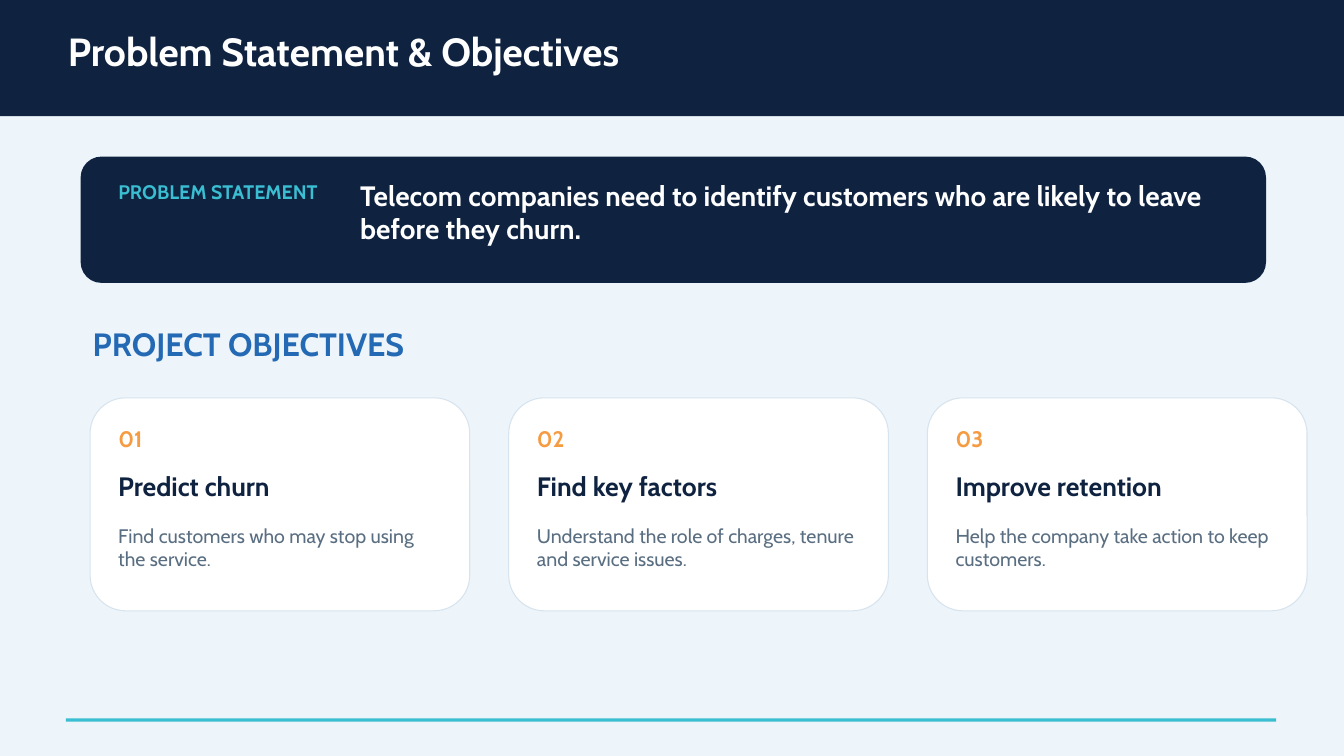
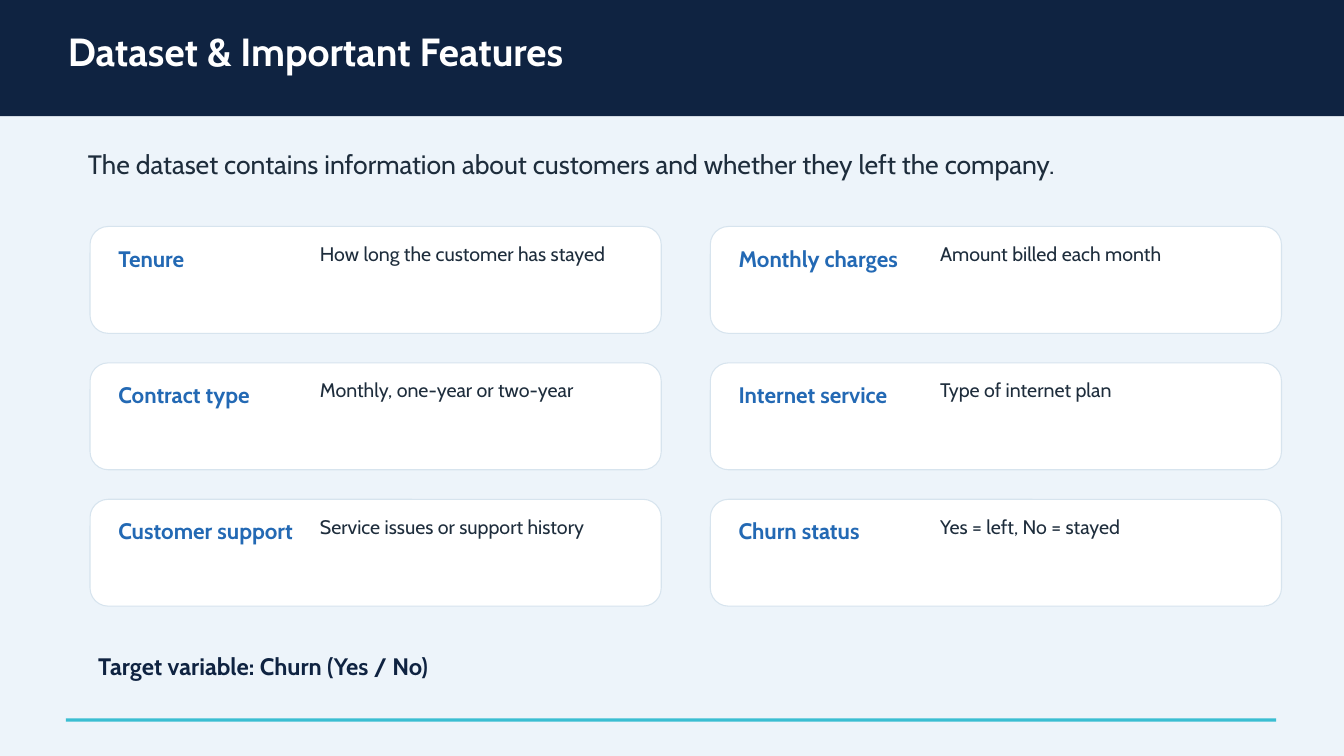
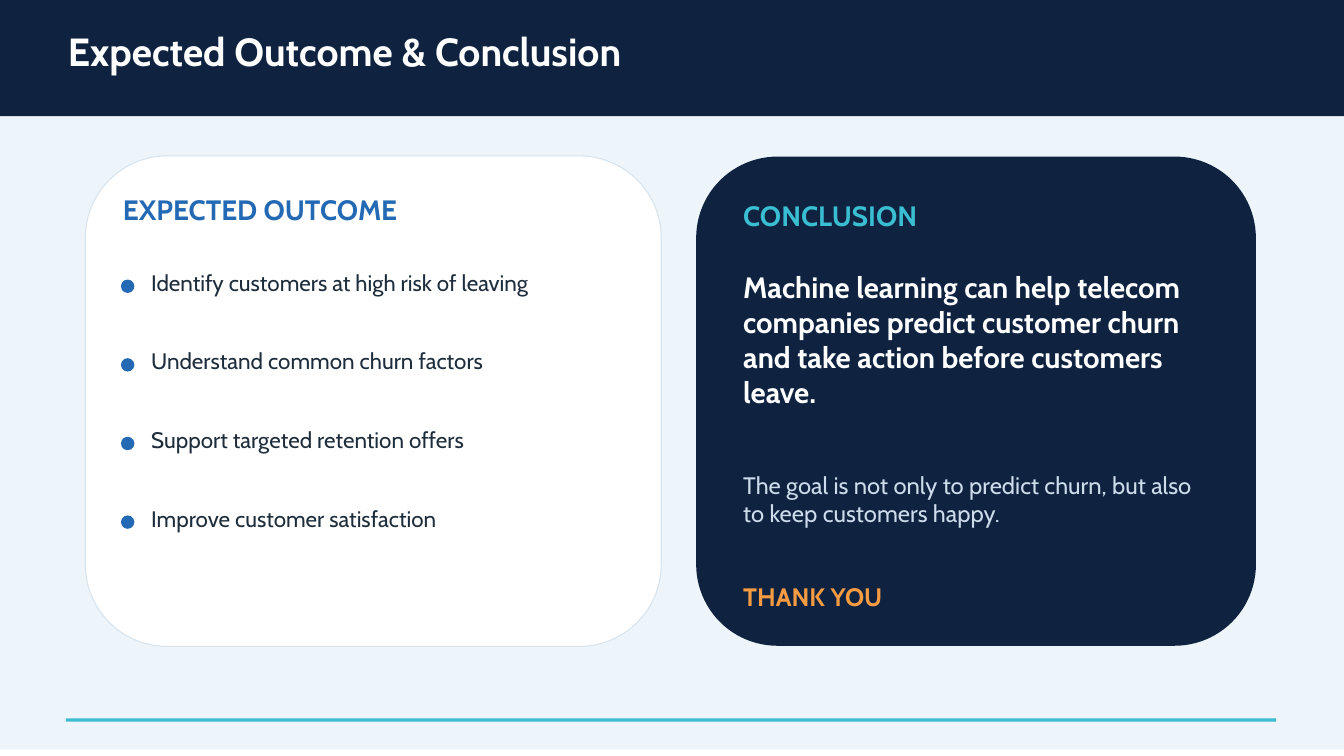
"""Build three slides on predicting customer churn."""
from dataclasses import dataclass

from pptx import Presentation
from pptx.dml.color import RGBColor
from pptx.enum.shapes import MSO_SHAPE as Shape
from pptx.enum.text import MSO_AUTO_SIZE as AutoSize
from pptx.util import Pt

EMU_PER_PX = 9144
WIDTH, HEIGHT = 2000, 1125


@dataclass(frozen=True)
class Theme:
    """Colours, type sizes and font of the deck."""
    font: str = "Cabin"
    canvas: str = "EDF4FA"
    navy: str = "0F2341"
    teal: str = "3ABED2"
    blue: str = "2369B4"
    orange: str = "F59B41"
    white: str = "FFFFFF"
    border: str = "D7E4EE"
    ink: str = "1E2D3C"
    slate: str = "5A6E82"
    mist: str = "CDDCEB"
    title: float = 42
    section: float = 34.5
    quote: float = 31.5
    heading: float = 30
    lead: float = 28.5
    closing: float = 27
    note: float = 25.5
    label: float = 24
    body: float = 21
    leading: float = 1.2
    border_width: float = 1.13


def px(length):
    """Turn px into EMU."""
    return length * EMU_PER_PX


def color(value):
    """Turn a hex string into a colour."""
    return RGBColor.from_string(value)


class Painter:
    """Hold the theme and the current slide, and draw elements on it."""

    def __init__(self, deck, theme):
        """Start with a deck and its theme."""
        self.deck = deck
        self.theme = theme
        self.slide = None

    def page(self, title, canvas_height=HEIGHT):
        """Add a slide with its canvas, title band and footer rule."""
        theme = self.theme
        self.slide = self.deck.slides.add_slide(self.deck.slide_layouts[6])
        self.shape(0, 0, WIDTH, canvas_height, fill=theme.canvas)
        self.shape(0, 0, WIDTH, 173, fill=theme.navy)
        self.text(title, 101, 40, 1735, 89, size=theme.title,
                  ink=theme.white, bold=True)
        self.shape(98, 1069, 1801, 5, fill=theme.teal)

    def shape(self, left, top, width, height, fill, kind=Shape.RECTANGLE,
              border=None):
        """Draw a filled preset shape, with a border if one is given."""
        box = self.slide.shapes.add_shape(
            kind, px(left), px(top), px(width), px(height))
        box.shadow.inherit = False
        box.fill.solid()
        box.fill.fore_color.rgb = color(fill)
        if border:
            box.line.color.rgb = color(border)
            box.line.width = Pt(self.theme.border_width)
        else:
            box.line.fill.background()
        return box

    def panel(self, left, top, width, height, radius, fill, border=None):
        """Draw a rounded panel with a corner radius in px."""
        box = self.shape(left, top, width, height, fill,
                         Shape.ROUNDED_RECTANGLE, border)
        box.adjustments[0] = radius / min(width, height)

    def card(self, left, top, width, height, radius):
        """Draw a white bordered panel."""
        self.panel(left, top, width, height, radius, self.theme.white,
                   self.theme.border)

    def text(self, words, left, top, width, height, *, size, ink, bold=False):
        """Write one paragraph in a box without margins."""
        box = self.slide.shapes.add_textbox(
            px(left), px(top), px(width), px(height))
        frame = box.text_frame
        frame.word_wrap = True
        frame.auto_size = AutoSize.SHAPE_TO_FIT_TEXT
        frame.margin_left = frame.margin_right = 0
        frame.margin_top = frame.margin_bottom = 0
        para = frame.paragraphs[0]
        para.line_spacing = Pt(size * self.theme.leading)
        span = para.add_run()
        span.text = words
        span.font.name = self.theme.font
        span.font.size = Pt(size)
        span.font.bold = bold
        span.font.color.rgb = color(ink)

    def bullet(self, words, left, top):
        """Write a line of text with a round dot before it."""
        theme = self.theme
        self.shape(left, top + 16, 20, 20, theme.blue, Shape.OVAL)
        self.text(words, left + 45, top, 673, 83, size=theme.label,
                  ink=theme.ink)


def objectives_slide(painter):
    """Show the problem and the three objectives."""
    theme = painter.theme
    painter.page("Problem Statement & Objectives")
    painter.panel(120, 233, 1764, 188, 31, theme.navy)
    painter.text("PROBLEM STATEMENT", 176, 268, 392, 45, size=theme.body,
                 ink=theme.teal, bold=True)
    painter.text("Telecom companies need to identify customers who are likely "
                 "to leave before they churn.", 536, 265, 1255, 94,
                 size=theme.heading, ink=theme.white, bold=True)
    painter.text("PROJECT OBJECTIVES", 138, 482, 820, 64, size=theme.section,
                 ink=theme.blue, bold=True)
    objectives = [
        ("Predict churn", "Find customers who may stop using the service."),
        ("Find key factors",
         "Understand the role of charges, tenure and service issues."),
        ("Improve retention",
         "Help the company take action to keep customers."),
    ]
    for index, (name, detail) in enumerate(objectives):
        left = 134 + index * 623
        inner = left + 42
        painter.card(left, 592, 565, 317, 53)
        painter.text(f"{index + 1:02}", inner, 632, 92, 49, size=theme.label,
                     ink=theme.orange, bold=True)
        painter.text(name, inner, 700, 474, 56, size=theme.lead,
                     ink=theme.navy, bold=True)
        painter.text(detail, inner, 779, 474, 99, size=theme.body,
                     ink=theme.slate)


def features_slide(painter):
    """Show the features of the dataset in a grid of two columns."""
    theme = painter.theme
    painter.page("Dataset & Important Features")
    painter.text("The dataset contains information about customers and "
                 "whether they left the company.", 131, 220, 1720, 79,
                 size=theme.lead, ink=theme.ink)
    features = [
        ("Tenure", "How long the customer has stayed"),
        ("Monthly charges", "Amount billed each month"),
        ("Contract type", "Monthly, one-year or two-year"),
        ("Internet service", "Type of internet plan"),
        ("Customer support", "Service issues or support history"),
        ("Churn status", "Yes = left, No = stayed"),
    ]
    for index, (name, meaning) in enumerate(features):
        row, column = divmod(index, 2)
        left = 134 + column * 923
        top = 337 + row * 203
        painter.card(left, top, 850, 159, 27)
        painter.text(name, left + 42, top + 27, 332, 41, size=theme.label,
                     ink=theme.blue, bold=True)
        painter.text(meaning, left + 342, top + 23, 459, 90, size=theme.body,
                     ink=theme.ink)
    painter.text("Target variable: Churn (Yes / No)", 146, 970, 1270, 49,
                 size=theme.note, ink=theme.navy, bold=True)


def conclusion_slide(painter):
    """Show the expected outcome beside the conclusion."""
    theme = painter.theme
    painter.page("Expected Outcome & Conclusion", canvas_height=1115)
    painter.card(127, 232, 857, 730, 122)
    painter.text("EXPECTED OUTCOME", 183, 287, 715, 56, size=theme.heading,
                 ink=theme.blue, bold=True)
    outcomes = [
        "Identify customers at high risk of leaving",
        "Understand common churn factors",
        "Support targeted retention offers",
        "Improve customer satisfaction",
    ]
    for index, outcome in enumerate(outcomes):
        painter.bullet(outcome, 180, 400 + index * 117)
    painter.panel(1036, 233, 833, 728, 121, theme.navy)
    messages = [
        ("CONCLUSION", 295, 56, theme.heading, theme.teal, True),
        ("Machine learning can help telecom companies predict customer churn "
         "and take action before customers leave.",
         400, 229, theme.quote, theme.white, True),
        ("The goal is not only to predict churn, but also to keep customers "
         "happy.", 700, 131, theme.note, theme.mist, False),
        ("THANK YOU", 865, 56, theme.closing, theme.orange, True),
    ]
    for words, top, height, size, ink, bold in messages:
        painter.text(words, 1106, top, 677, height, size=size, ink=ink,
                     bold=bold)


def main():
    """Build and save the deck."""
    deck = Presentation()
    deck.slide_width, deck.slide_height = px(WIDTH), px(HEIGHT)
    painter = Painter(deck, Theme())
    objectives_slide(painter)
    features_slide(painter)
    conclusion_slide(painter)
    deck.save("out.pptx")


if __name__ == "__main__":
    main()
